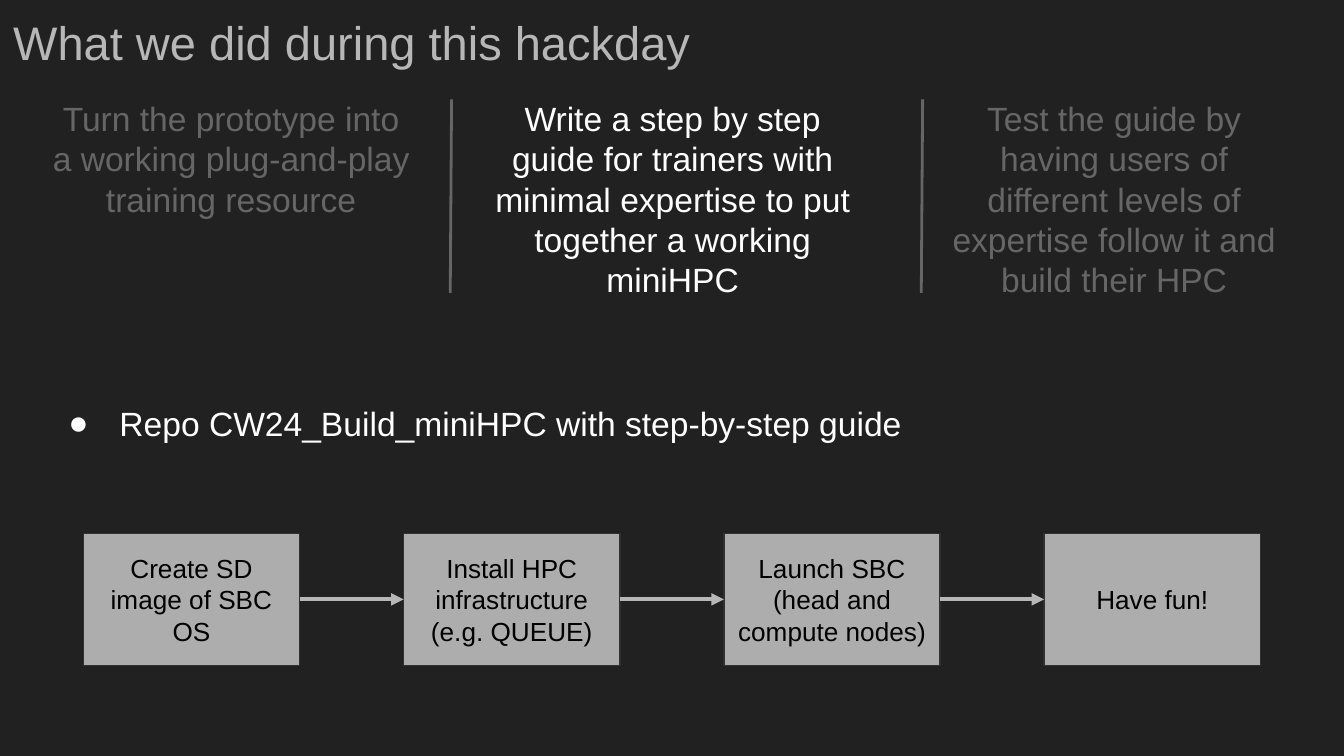
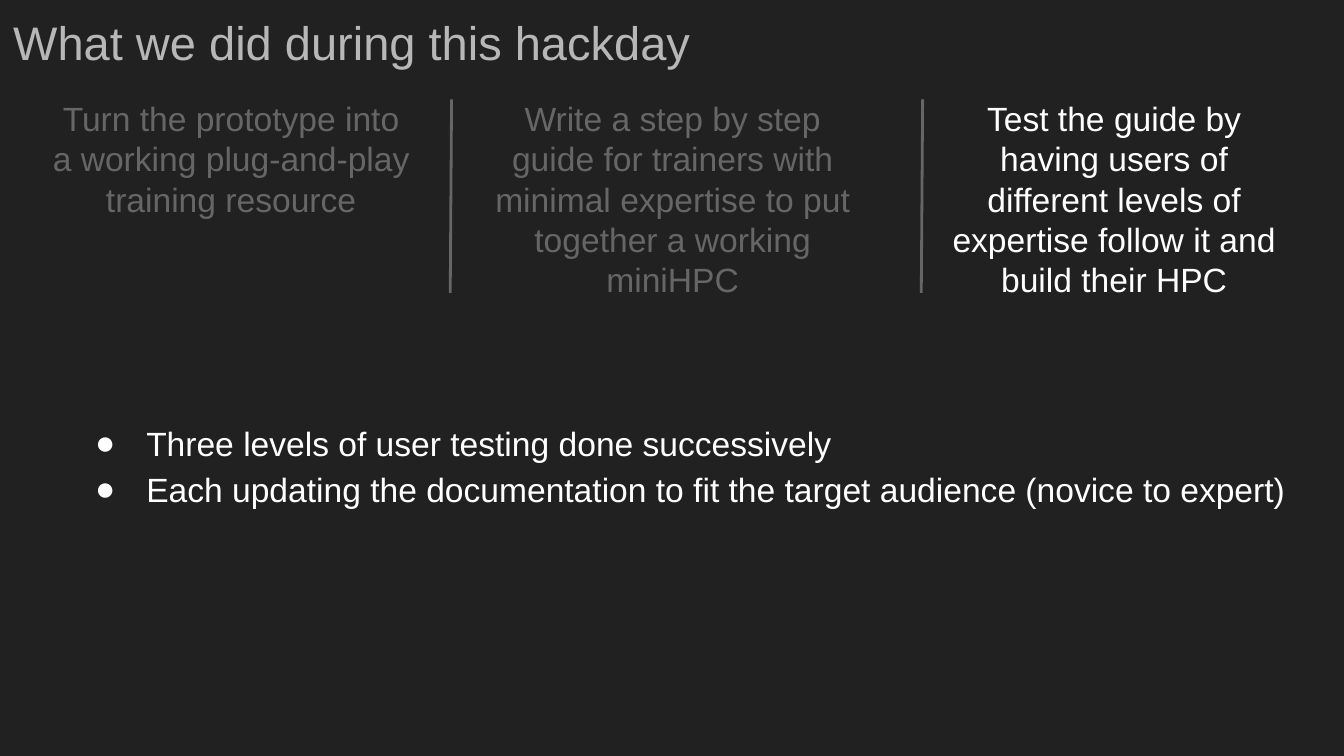
"""Build two hackday progress pages with a shared header."""
from dataclasses import dataclass
from itertools import pairwise
from typing import NamedTuple

from lxml.etree import SubElement
from pptx import Presentation
from pptx.dml.color import RGBColor
from pptx.enum.shapes import MSO_CONNECTOR as Link, MSO_SHAPE as Preset
from pptx.enum.text import MSO_ANCHOR as Anchor, MSO_AUTO_SIZE as AutoSize, PP_ALIGN as Align
from pptx.oxml.ns import qn
from pptx.util import Inches, Pt

WIDTH, HEIGHT = Inches(10), Inches(5.625)
COLUMNS, ROWS = 100, 56.25


@dataclass(frozen=True)
class Theme:
    """Colours, font and type sizes of the deck."""
    font: str = "Arial"
    background: str = "212121"
    title: str = "B7B7B7"
    active: str = "FFFFFF"
    muted: str = "666666"
    step_fill: str = "ADADAD"
    step_line: str = "303030"
    step_text: str = "000000"
    arrow: str = "B7B7B7"
    title_size: float = 25.2
    body_size: float = 18
    step_size: float = 14


class Area(NamedTuple):
    """A rectangle in grid columns and rows."""
    left: float
    top: float
    width: float
    height: float

    def lengths(self) -> tuple[int, int, int, int]:
        """Return the rectangle in slide lengths."""
        return across(self.left), down(self.top), across(self.width), down(self.height)


@dataclass(frozen=True)
class PageContent:
    """What differs from page to page."""
    active_goal: int
    bullet_area: Area
    bullets: tuple[str, ...]
    steps: tuple[str, ...] = ()


THEME = Theme()
TITLE = "What we did during this hackday"
TITLE_AREA = Area(0, 0, 93.2, 6.3)
GOALS = (
    "Turn the prototype into a working plug-and-play training resource",
    "Write a step by step guide for trainers with minimal expertise to put together a working miniHPC",
    "Test the guide by having users of different levels of expertise follow it and build their HPC",
)
GOAL_AREA, GOAL_PITCH = Area(2.9, 6.3, 28.6, 35.7), 32.85
DIVIDER_AREA, DIVIDER_PITCH = Area(33.6, 7.4, -0.1, 14.4), 35.05
STEP_AREA, STEP_PITCH = Area(6.2, 39.7, 16.1, 9.8), 23.83
PAGES = (
    PageContent(
        active_goal=1,
        bullet_area=Area(2.9, 28.5, 86.2, 5),
        bullets=("Repo CW24_Build_miniHPC with step-by-step guide",),
        steps=(
            "Create SD image of SBC OS",
            "Install HPC infrastructure (e.g. QUEUE)",
            "Launch SBC\n(head and compute nodes)",
            "Have fun!",
        ),
    ),
    PageContent(
        active_goal=2,
        bullet_area=Area(4.9, 30, 94.6, 8.5),
        bullets=(
            "Three levels of user testing done successively",
            "Each updating the documentation to fit the target audience (novice to expert)",
        ),
    ),
)


def across(columns: float) -> int:
    """Convert grid columns to a length."""
    return round(WIDTH * columns / COLUMNS)


def down(rows: float) -> int:
    """Convert grid rows to a length."""
    return round(HEIGHT * rows / ROWS)


def shifted(area: Area, index: int, pitch: float) -> Area:
    """Move an area right by a number of pitches."""
    return area._replace(left=area.left + index * pitch)


def colour(value: str) -> RGBColor:
    """Turn a hex value into a colour."""
    return RGBColor.from_string(value)


def add_bullet(para) -> None:
    """Give a paragraph a round bullet with a hanging indent."""
    para.line_spacing = 1.15
    properties = para._p.get_or_add_pPr()
    properties.set("marL", str(Inches(0.5)))
    properties.set("indent", str(-Inches(0.38)))
    bullet_colour = SubElement(properties, qn("a:buClr"))
    SubElement(bullet_colour, qn("a:srgbClr"), val=THEME.active)
    SubElement(properties, qn("a:buFont"), typeface=THEME.font)
    SubElement(properties, qn("a:buChar"), char="●")


def write(box, *texts: str, size: float, ink: str, align=Align.LEFT,
          anchor=Anchor.TOP, bulleted: bool = False) -> None:
    """Fill a box with one formatted paragraph for each text."""
    frame = box.text_frame
    frame.word_wrap = True
    frame.vertical_anchor = anchor
    frame.auto_size = AutoSize.SHAPE_TO_FIT_TEXT if bulleted else AutoSize.NONE
    frame.margin_left = frame.margin_right = Inches(0.1)
    frame.margin_top = frame.margin_bottom = Inches(0.1)
    for index, text in enumerate(texts):
        para = frame.add_paragraph() if index else frame.paragraphs[0]
        para.alignment = align
        if bulleted:
            add_bullet(para)
        for number, line in enumerate(text.split("\n")):
            if number:
                para.add_line_break()
            span = para.add_run()
            span.text = line
            span.font.name = THEME.font
            span.font.size = Pt(size)
            span.font.color.rgb = colour(ink)


def add_text(page, area: Area, *texts: str, **formatting) -> None:
    """Place a text box on the page."""
    write(page.shapes.add_textbox(*area.lengths()), *texts, **formatting)


def add_line(page, area: Area, ink: str, weight: float):
    """Draw a plain line from corner to corner of an area."""
    left, top, width, height = area.lengths()
    line = page.shapes.add_connector(Link.STRAIGHT, left, top, left + width, top + height)
    line.line.color.rgb = colour(ink)
    line.line.width = Pt(weight)
    SubElement(line._element.spPr, qn("a:effectLst"))
    return line


def add_step(page, area: Area, text: str):
    """Draw one box of the process."""
    box = page.shapes.add_shape(Preset.RECTANGLE, *area.lengths())
    box.shadow.inherit = False
    box.fill.solid()
    box.fill.fore_color.rgb = colour(THEME.step_fill)
    box.line.color.rgb = colour(THEME.step_line)
    box.line.width = Pt(0.75)
    write(box, text, size=THEME.step_size, ink=THEME.step_text,
          align=Align.CENTER, anchor=Anchor.MIDDLE)
    return box


def add_process(page, steps: tuple[str, ...]) -> None:
    """Draw the process boxes and the arrows between them."""
    boxes = [add_step(page, shifted(STEP_AREA, index, STEP_PITCH), text)
             for index, text in enumerate(steps)]
    for source, target in pairwise(boxes):
        arrow = add_line(page, STEP_AREA, THEME.arrow, 2.25)
        arrow.begin_connect(source, 3)
        arrow.end_connect(target, 1)
        SubElement(arrow.line._get_or_add_ln(), qn("a:tailEnd"), type="triangle")


def add_header(page, active_goal: int) -> None:
    """Draw the background, title, goals and dividers."""
    page.background.fill.solid()
    page.background.fill.fore_color.rgb = colour(THEME.background)
    add_text(page, TITLE_AREA, TITLE, size=THEME.title_size, ink=THEME.title)
    for index, goal in enumerate(GOALS):
        ink = THEME.active if index == active_goal else THEME.muted
        add_text(page, shifted(GOAL_AREA, index, GOAL_PITCH), goal,
                 size=THEME.body_size, ink=ink, align=Align.CENTER)
    for index in range(len(GOALS) - 1):
        add_line(page, shifted(DIVIDER_AREA, index, DIVIDER_PITCH), THEME.muted, 1.5)


def main() -> None:
    """Build and save the deck."""
    deck = Presentation()
    deck.slide_width, deck.slide_height = WIDTH, HEIGHT
    for content in PAGES:
        page = deck.slides.add_slide(deck.slide_layouts[6])
        add_header(page, content.active_goal)
        add_text(page, content.bullet_area, *content.bullets,
                 size=THEME.body_size, ink=THEME.active, bulleted=True)
        add_process(page, content.steps)
    deck.save("out.pptx")


if __name__ == "__main__":
    main()
